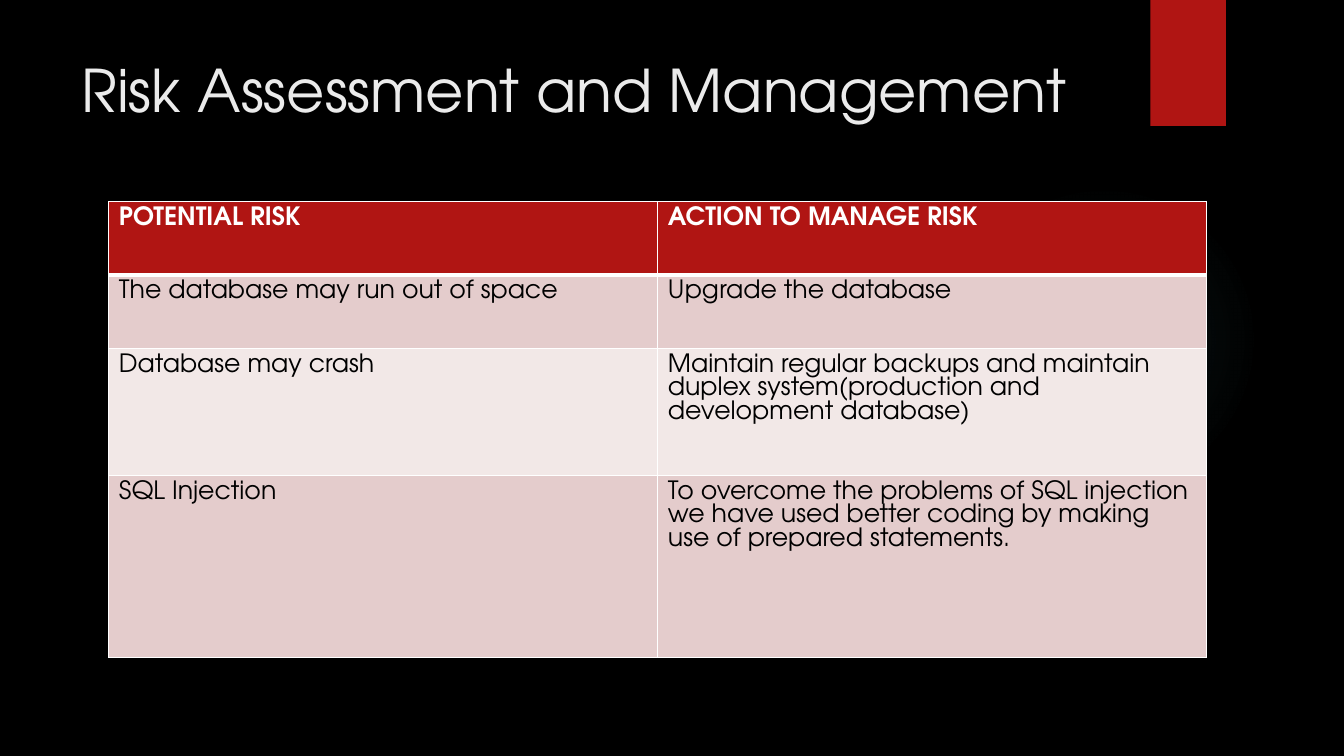
from dataclasses import dataclass
from lxml import etree
from pptx import Presentation, util as u
from pptx.dml.color import RGBColor
from pptx.enum import shapes, text
from pptx.oxml import ns


@dataclass
class Theme:
    font: str = "TeX Gyre Adventor"
    back: str = "000000"
    red: str = "B01513"
    glow: str = "50B9C1"
    pale: str = "EBEBEB"
    white: str = "FFFFFF"
    ink: str = "000000"
    bands: tuple = ("E4CCCC", "F2E8E7")
    title: int = 42
    body: int = 18
    thin: int = 1
    thick: int = 3


# The grid: each column and row is one unit wide and high
COLS, ROWS, UNIT = 13.33, 7.5, u.Inches(1)

RISKS = [
    ("POTENTIAL RISK", "ACTION TO MANAGE RISK"),
    ("The database may run out of space", "Upgrade the database"),
    ("Database may crash",
     "Maintain regular backups and maintain duplex system(production and development database)"),
    ("SQL Injection",
     "To overcome the problems of SQL injection we have used better coding by making use of "
     "prepared statements."),
]


def add(parent, tag, **attrs):
    return etree.SubElement(parent, ns.qn("a:" + tag), {k: str(v) for k, v in attrs.items()})


def tint(parent, color, alpha):
    add(add(parent, "srgbClr", val=color), "alpha", val=alpha * 1000)


class Page:
    """Holds the theme and the slide; places are columns and rows of the grid."""

    def __init__(self, theme):
        self.look = theme
        self.deck = Presentation()
        self.deck.slide_width, self.deck.slide_height = self.span(COLS, ROWS)
        self.slide = self.deck.slides.add_slide(self.deck.slide_layouts[6])
        self.paint(self.slide.background.fill, theme.back)

    def span(self, *units):
        return [u.Emu(round(n * UNIT)) for n in units]

    def paint(self, fill, color):
        fill.solid()
        fill.fore_color.rgb = RGBColor.from_string(color)

    def label(self, frame, words, color, form):
        run = frame.paragraphs[0].add_run()
        run.text = words
        for key, val in {"name": self.look.font, **form}.items():
            setattr(run.font, key, val)
        run.font.color.rgb = RGBColor.from_string(color)

    def shape(self, kind, place, color):
        item = self.slide.shapes.add_shape(kind, *self.span(*place))
        item.shadow.inherit = False
        item.line.fill.background()
        self.paint(item.fill, color)
        return item

    def halo(self, place, stops):
        props = self.shape(shapes.MSO_SHAPE.OVAL, place, self.look.glow)._element.spPr
        grad = etree.Element(ns.qn("a:gradFill"))
        props.replace(props.find(ns.qn("a:solidFill")), grad)
        ramp = add(grad, "gsLst")
        for spot, alpha in stops:
            tint(add(ramp, "gs", pos=spot * 1000), self.look.glow, alpha)
        add(add(grad, "path", path="circle"), "fillToRect", **dict.fromkeys("ltrb", 50000))

    def tab(self, place):
        item = self.shape(shapes.MSO_SHAPE.RECTANGLE, place, self.look.red)
        effect = item._element.spPr.find(ns.qn("a:effectLst"))
        tint(add(effect, "outerShdw", blurRad=u.Pt(3), dist=u.Pt(2), dir=90 * 60000),
             self.look.back, 45)

    def title(self, place, words):
        frame = self.slide.shapes.add_textbox(*self.span(*place)).text_frame
        for key, val in {"word_wrap": True, "vertical_anchor": text.MSO_ANCHOR.TOP}.items():
            setattr(frame, key, val)
        self.label(frame, words, self.look.pale, {"size": u.Pt(self.look.title)})

    def edge(self, cell, head):
        props = cell._tc.get_or_add_tcPr()
        for spot, side in enumerate("LRTB"):
            wide = self.look.thick if head and side == "B" else self.look.thin
            line = etree.Element(ns.qn("a:ln" + side), w=str(u.Pt(wide)))
            add(add(line, "solidFill"), "srgbClr", val=self.look.white)
            props.insert(spot, line)

    def table(self, place, rows, highs):
        grid = self.slide.shapes.add_table(len(rows), len(rows[0]), *self.span(*place)).table
        for r, (row, high) in enumerate(zip(rows, self.span(*highs))):
            head = r == 0
            grid.rows[r].height = high
            for c, words in enumerate(row):
                cell = grid.cell(r, c)
                self.paint(cell.fill, self.look.red if head else self.look.bands[(r - 1) % 2])
                self.edge(cell, head)
                self.label(cell.text_frame, words, self.look.white if head else self.look.ink,
                           {"size": u.Pt(self.look.body), "bold": head})


def main():
    page = Page(Theme())
    # Backdrop: faint glow and red tab
    page.halo((9.41, 1.83, 3.08, 3.08), [(0, 7), (36, 6), (69, 0)])
    page.tab((11.41, 0, 0.75, 1.25))
    # Heading
    page.title((0.71, 0.48, 10.29, 1.53), "Risk Assessment and Management")
    # Risk table
    page.table((1.08, 2, 10.89, 4.52), RISKS, (0.73, 0.73, 1.26, 1.8))
    page.deck.save("out.pptx")


if __name__ == "__main__":
    main()
